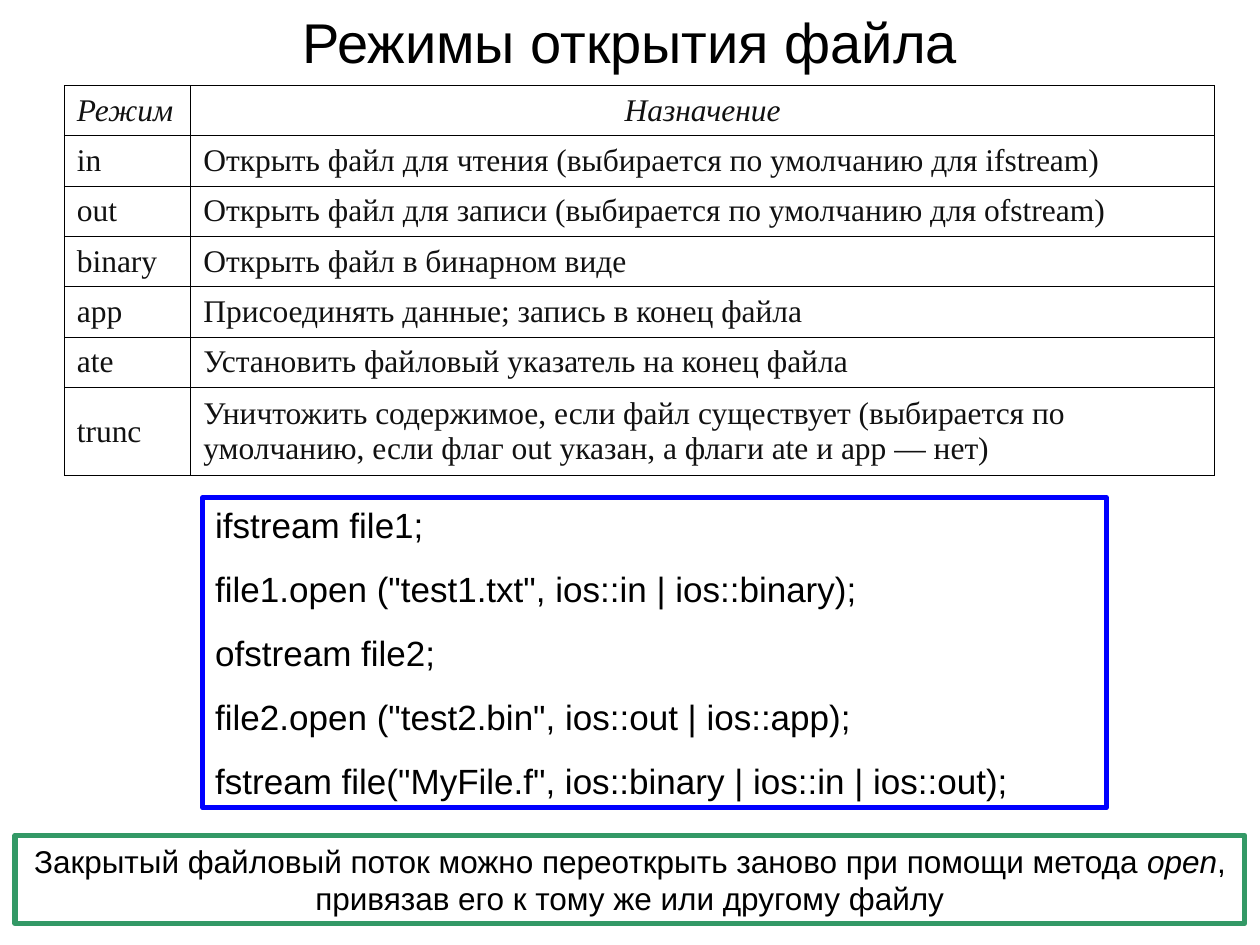
from dataclasses import dataclass

from lxml.etree import SubElement
from pptx import Presentation
from pptx.dml.color import RGBColor
from pptx.enum.shapes import MSO_SHAPE
from pptx.enum.text import MSO_ANCHOR, MSO_AUTO_SIZE, PP_ALIGN
from pptx.oxml.ns import qn
from pptx.util import Inches, Pt

WIDTH, HEIGHT = Inches(10), Inches(7.5)
BLACK, INK, WHITE, BLUE, GREEN = "000000", "111111", "FFFFFF", "0000FF", "339966"

MODES = [
    ("Режим", "Назначение"),
    ("in", "Открыть файл для чтения (выбирается по умолчанию для ifstream)"),
    ("out", "Открыть файл для записи (выбирается по умолчанию для ofstream)"),
    ("binary", "Открыть файл в бинарном виде"),
    ("aрр", "Присоединять данные; запись в конец файла"),
    ("ate", "Установить файловый указатель на конец файла"),
    ("trunc", "Уничтожить содержимое, если файл существует (выбирается по "
              "умолчанию, если флаг out указан, а флаги ate и арр — нет)"),
]
CODE = [
    "ifstream file1;",
    'file1.open ("test1.txt", ios::in | ios::binary);',
    "ofstream file2;",
    'file2.open ("test2.bin", ios::out | ios::app);',
    'fstream file("MyFile.f", ios::binary | ios::in | ios::out);',
]
NOTE = [
    ("Закрытый файловый поток можно переоткрыть заново при помощи метода ", False),
    ("open", True),
    (", привязав его к тому же или другому файлу", False),
]


@dataclass
class Area:
    """A rectangle in percent of the slide's width and height."""
    left: float
    top: float
    width: float
    height: float

    def emu(self) -> tuple[int, int, int, int]:
        return (int(WIDTH * self.left / 100), int(HEIGHT * self.top / 100),
                int(WIDTH * self.width / 100), int(HEIGHT * self.height / 100))


@dataclass
class Frame:
    area: Area
    color: str
    size: int
    align: PP_ALIGN
    paragraphs: list[list[tuple[str, bool]]]
    gap: float = 0


TITLE_AREA = Area(5, 0.8, 90, 7.2)
TABLE_AREA = Area(5.1, 9.03, 91.3, 41.33)
MODE_COLUMN = 0.11
ROW_UNITS = [4] * 6 + [7]
FRAMES = [
    Frame(Area(16.1, 52.67, 71.7, 32.8), BLUE, 20, PP_ALIGN.LEFT,
          [[(line, False)] for line in CODE], 12.5),
    Frame(Area(1.2, 88.4, 97.6, 9.33), GREEN, 18, PP_ALIGN.CENTER, [NOTE]),
]


def rgb(color: str) -> RGBColor:
    return RGBColor.from_string(color)


def format_paragraph(p, size: int, align: PP_ALIGN, name: str = "Arial",
                     color: str = BLACK) -> None:
    p.alignment = align
    p.font.size, p.font.name = Pt(size), name
    p.font.color.rgb = rgb(color)


def add_borders(cell, color: str, width: float) -> None:
    props = cell._tc.get_or_add_tcPr()
    for i, side in enumerate(("lnL", "lnR", "lnT", "lnB")):
        ln = props.makeelement(qn(f"a:{side}"), {"w": str(Pt(width))})
        fill = SubElement(ln, qn("a:solidFill"))
        SubElement(fill, qn("a:srgbClr"), val=color)
        props.insert(i, ln)


def add_title(s, text: str) -> None:
    title = s.shapes.title
    title.left, title.top, title.width, title.height = TITLE_AREA.emu()
    tf = title.text_frame
    tf.text = text
    tf.auto_size = MSO_AUTO_SIZE.NONE
    tf.vertical_anchor = MSO_ANCHOR.MIDDLE
    format_paragraph(tf.paragraphs[0], 32, PP_ALIGN.CENTER)


def add_modes_table(s) -> None:
    left, top, width, height = TABLE_AREA.emu()
    table = s.shapes.add_table(len(MODES), 2, left, top, width, height).table
    table.first_row = table.horz_banding = False
    for column, share in zip(table.columns, (MODE_COLUMN, 1 - MODE_COLUMN)):
        column.width = int(width * share)
    for row, units in zip(table.rows, ROW_UNITS):
        row.height = height * units // sum(ROW_UNITS)
    for i, texts in enumerate(MODES):
        for j, text in enumerate(texts):
            cell = table.cell(i, j)
            cell.text = text
            cell.vertical_anchor = MSO_ANCHOR.MIDDLE
            cell.fill.solid()
            cell.fill.fore_color.rgb = rgb(WHITE)
            add_borders(cell, BLACK, 0.34)
            p = cell.text_frame.paragraphs[0]
            align = PP_ALIGN.CENTER if (i, j) == (0, 1) else PP_ALIGN.LEFT
            format_paragraph(p, 18, align, "Times New Roman", INK)
            p.font.italic = i == 0


def add_frame(s, frame: Frame) -> None:
    sp = s.shapes.add_shape(MSO_SHAPE.RECTANGLE, *frame.area.emu())
    sp.shadow.inherit = False
    sp.fill.background()
    sp.line.color.rgb = rgb(frame.color)
    sp.line.width = Pt(3)
    tf = sp.text_frame
    tf.word_wrap = True
    tf.auto_size = MSO_AUTO_SIZE.SHAPE_TO_FIT_TEXT
    tf.vertical_anchor = MSO_ANCHOR.TOP
    for i, runs in enumerate(frame.paragraphs):
        p = tf.add_paragraph() if i else tf.paragraphs[0]
        format_paragraph(p, frame.size, frame.align)
        if i:
            p.space_before = Pt(frame.gap)
        for text, italic in runs:
            r = p.add_run()
            r.text = text
            if italic:
                r.font.italic = True


def main() -> None:
    prs = Presentation()
    prs.slide_width, prs.slide_height = WIDTH, HEIGHT
    s = prs.slides.add_slide(prs.slide_layouts.get_by_name("Title Only"))
    add_title(s, "Режимы открытия файла")
    add_modes_table(s)
    for frame in FRAMES:
        add_frame(s, frame)
    prs.save("out.pptx")


if __name__ == "__main__":
    main()
